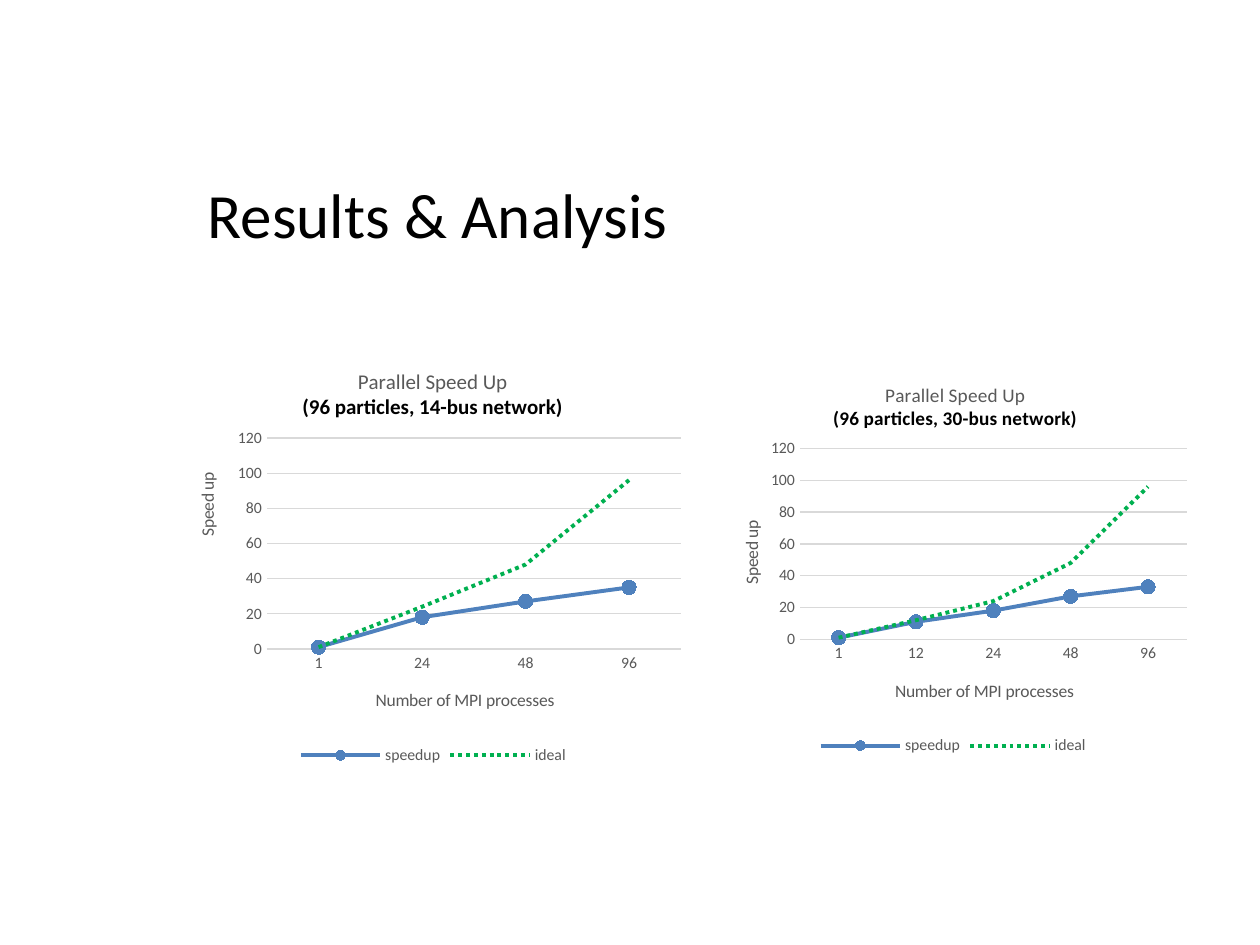
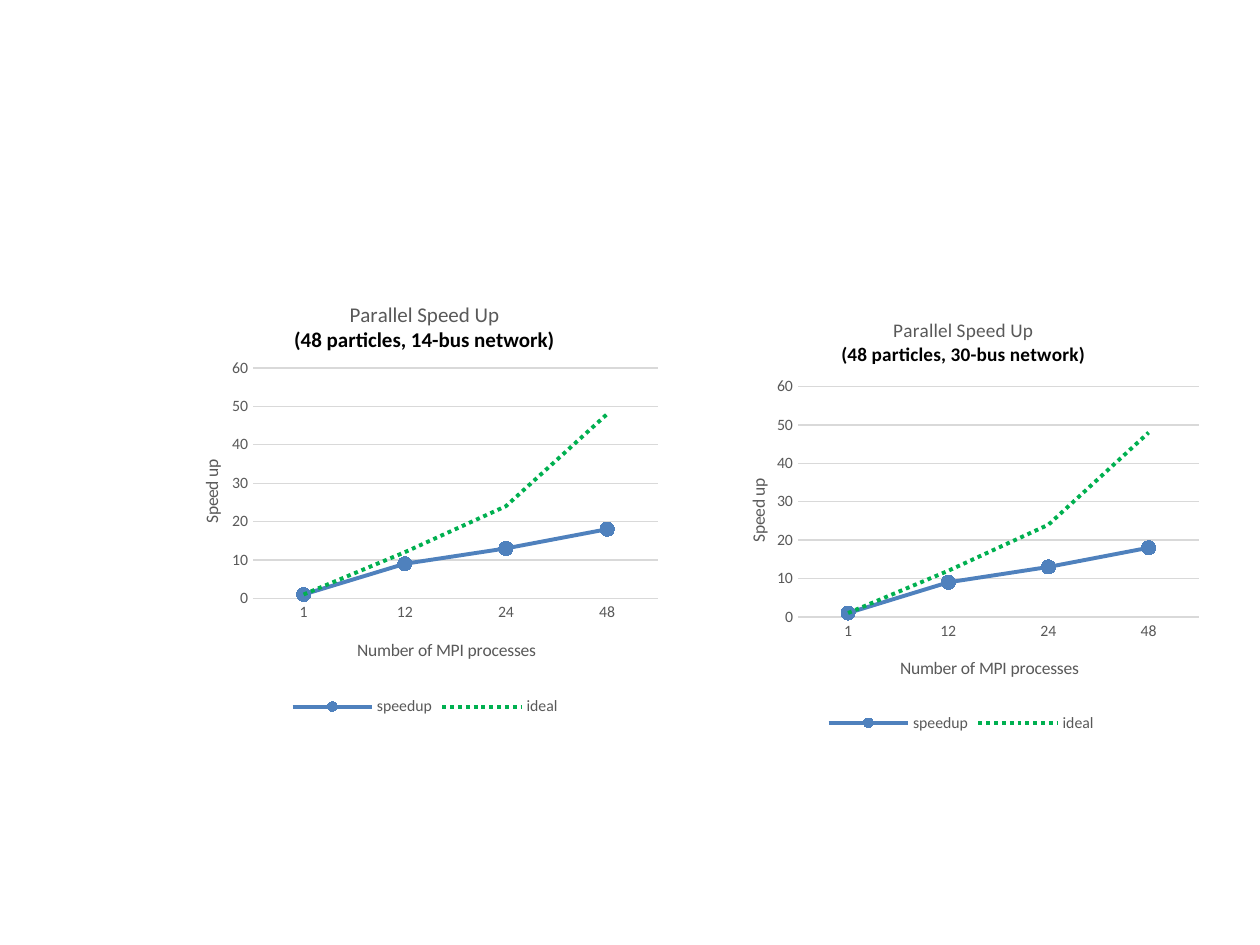
from lxml import etree
from pptx import Presentation
from pptx.chart.data import CategoryChartData
from pptx.dml.color import RGBColor
from pptx.enum.chart import XL_CHART_TYPE, XL_LEGEND_POSITION, XL_MARKER_STYLE, XL_TICK_MARK
from pptx.enum.dml import MSO_LINE
from pptx.enum.text import MSO_ANCHOR, PP_ALIGN
from pptx.oxml.ns import qn
from pptx.util import Pt

LINE_CHART = XL_CHART_TYPE.LINE_MARKERS
LEGEND_BOTTOM = XL_LEGEND_POSITION.BOTTOM
CIRCLE, NO_MARKER = XL_MARKER_STYLE.CIRCLE, XL_MARKER_STYLE.NONE
NO_TICK = XL_TICK_MARK.NONE
DOTTED = MSO_LINE.ROUND_DOT
MIDDLE, LEFT = MSO_ANCHOR.MIDDLE, PP_ALIGN.LEFT

BLACK = RGBColor(0x00, 0x00, 0x00)
GREY = RGBColor(0x59, 0x59, 0x59)
GRID = RGBColor(0xD9, 0xD9, 0xD9)
BLUE = RGBColor(0x4F, 0x81, 0xBD)
GREEN = RGBColor(0x00, 0xB0, 0x50)
FONT = "Calibri"

RESULTS = [
    [
        {"particles": 96, "buses": 14, "title_size": 12, "top_value": 120,
         "processes": [1, 24, 48, 96], "speedup": [1, 18, 27, 35],
         "frame": (100, 195.8, 295.2, 244), "plot": (52.5, 54.5, 236.6, 120.6),
         "value_title": (10.2, 72.2)},
        {"particles": 96, "buses": 30, "title_size": 11, "top_value": 120,
         "processes": [1, 12, 24, 48, 96], "speedup": [1, 11, 18, 27, 33],
         "frame": (405.4, 203.8, 278.6, 230.4), "plot": (51.7, 52.5, 221.1, 109.1),
         "value_title": (15.7, 91.6)},
    ],
    [
        {"particles": 48, "buses": 14, "title_size": 12, "top_value": 60,
         "processes": [1, 12, 24, 48], "speedup": [1, 9, 13, 18],
         "frame": (98.6, 157.7, 288.7, 254.2), "plot": (46, 52.6, 231.4, 131.7),
         "value_title": (14, 102.9)},
        {"particles": 48, "buses": 30, "title_size": 11, "top_value": 60,
         "processes": [1, 12, 24, 48], "speedup": [1, 9, 13, 18],
         "frame": (408.2, 167, 282.2, 254.2), "plot": (47.8, 53.9, 229.1, 131.7),
         "value_title": (16.9, 104.4)},
    ],
]


def set_font(font, size, color, bold=False):
    for attribute, value in {"name": FONT, "size": Pt(size), "bold": bold}.items():
        setattr(font, attribute, value)
    font.color.rgb = color


def add_run(paragraph, text, size, color, bold=False):
    run = paragraph.add_run()
    run.text = text
    set_font(run.font, size, color, bold)


def set_line(line, color, width):
    line.color.rgb = color
    line.width = Pt(width)


def place(element, frame, box):
    for previous in element.findall(qn("c:layout")):
        element.remove(previous)
    layout = etree.Element(qn("c:layout"))
    manual = etree.SubElement(layout, qn("c:manualLayout"))
    settings = {"layoutTarget": "inner"} if len(box) == 4 else {}
    settings.update(xMode="edge", yMode="edge")
    for key, length, whole in zip("xywh", box, frame[2:] * 2):
        settings[key] = f"{length / whole:.4f}"
    for key, value in settings.items():
        etree.SubElement(manual, qn(f"c:{key}")).set("val", value)
    element.insert(len(element.findall(qn("c:tx"))), layout)


def add_heading(slide, text):
    heading = slide.shapes.title
    box = {"left": 111.6, "top": 77, "width": 572.4, "height": 90}
    for attribute, length in box.items():
        setattr(heading, attribute, Pt(length))
    heading.text_frame.vertical_anchor = MIDDLE
    paragraph = heading.text_frame.paragraphs[0]
    paragraph.alignment = LEFT
    add_run(paragraph, text, 36, BLACK)


def style_title(chart, result):
    title = chart.chart_title
    size = result["title_size"]
    frame = title.text_frame
    add_run(frame.paragraphs[0], "Parallel Speed Up", size, GREY)
    add_run(frame.add_paragraph(),
            f"({result['particles']} particles, {result['buses']}-bus network)",
            size, BLACK, True)
    left = (result["frame"][2] - 12.5 * size) / 2 - 2
    place(title._element, result["frame"], (left, 12))


def style_axis(axis, title, frame, position):
    axis.major_tick_mark = axis.minor_tick_mark = NO_TICK
    set_font(axis.tick_labels.font, 9, GREY)
    add_run(axis.axis_title.text_frame.paragraphs[0], title, 10, GREY)
    place(axis.axis_title._element, frame, position)


def style_axes(chart, result):
    frame = result["frame"]
    left, top, width, height = result["plot"]
    processes, values = chart.category_axis, chart.value_axis
    style_axis(processes, "Number of MPI processes", frame,
               (left + width / 2 - 58, top + height + 21))
    style_axis(values, "Speed up", frame, result["value_title"])
    set_line(processes.format.line, GRID, 0.75)
    values.format.line.fill.background()
    set_line(values.major_gridlines.format.line, GRID, 0.75)
    scale = {"minimum_scale": 0, "maximum_scale": result["top_value"],
             "major_unit": result["top_value"] / 6}
    if result["top_value"] == 60:
        scale["major_unit"] = 10
    for attribute, value in scale.items():
        setattr(values, attribute, value)
    values.tick_labels.number_format = "0"
    values.tick_labels.number_format_is_linked = False


def style_series(chart):
    plot = chart.plots[0]
    plot.vary_by_categories = False
    speedup, ideal = plot.series
    for series, color in ((speedup, BLUE), (ideal, GREEN)):
        series.smooth = False
        set_line(series.format.line, color, 2.25)
    speedup.marker.style = CIRCLE
    speedup.marker.size = 8
    speedup.marker.format.fill.solid()
    speedup.marker.format.fill.fore_color.rgb = BLUE
    set_line(speedup.marker.format.line, BLUE, 0.75)
    ideal.marker.style = NO_MARKER
    ideal.format.line.dash_style = DOTTED


def add_speedup_chart(slide, result):
    data = CategoryChartData()
    data.categories = [str(count) for count in result["processes"]]
    data.add_series("speedup", result["speedup"])
    data.add_series("ideal", result["processes"])
    frame = result["frame"]
    chart = slide.shapes.add_chart(LINE_CHART, *map(Pt, frame), data).chart
    set_font(chart.font, 10, BLACK)
    style_title(chart, result)
    style_axes(chart, result)
    style_series(chart)
    chart.has_legend = True
    chart.legend.position = LEGEND_BOTTOM
    chart.legend.include_in_layout = False
    set_font(chart.legend.font, 9, GREY)
    plot_area = chart.plots[0]._element.getparent()
    place(plot_area, frame, result["plot"])


def main():
    deck = Presentation()
    deck.slide_width, deck.slide_height = Pt(720), Pt(540)
    title_only, blank = deck.slide_layouts[5], deck.slide_layouts[6]
    for layout, results in zip((title_only, blank), RESULTS):
        slide = deck.slides.add_slide(layout)
        if layout is title_only:
            add_heading(slide, "Results & Analysis")
        for result in results:
            add_speedup_chart(slide, result)
    deck.save("out.pptx")


if __name__ == "__main__":
    main()
